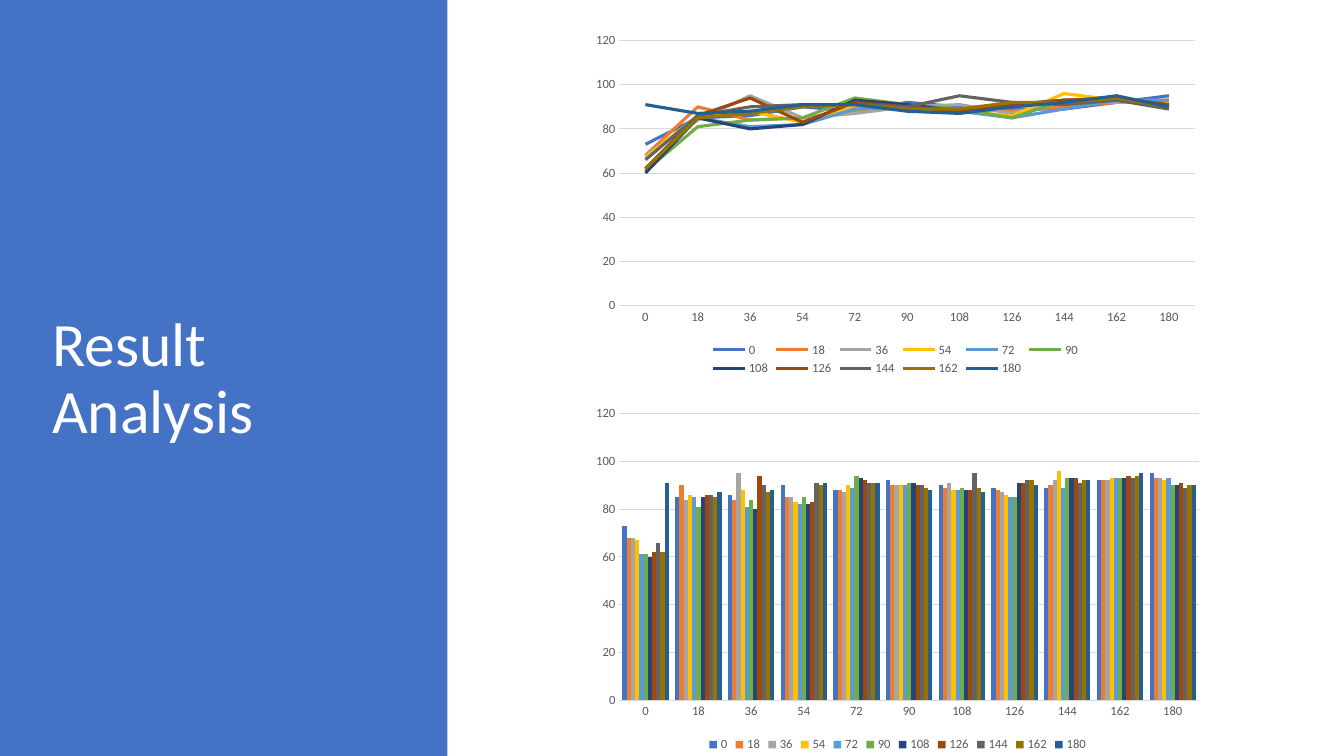
from pptx import Presentation
from pptx.chart.data import CategoryChartData
from pptx.dml.color import RGBColor
from pptx.enum.chart import XL_CHART_TYPE, XL_LEGEND_POSITION, XL_TICK_MARK
from pptx.enum.shapes import MSO_SHAPE
from pptx.enum.text import MSO_ANCHOR, PP_ALIGN
from pptx.util import Pt

LINE = XL_CHART_TYPE.LINE
COLUMNS = XL_CHART_TYPE.COLUMN_CLUSTERED
BOTTOM = XL_LEGEND_POSITION.BOTTOM
NO_TICK = XL_TICK_MARK.NONE
RECTANGLE = MSO_SHAPE.RECTANGLE
MIDDLE = MSO_ANCHOR.MIDDLE
LEFT = PP_ALIGN.LEFT

BLUE = RGBColor(0x44, 0x72, 0xC4)
WHITE = RGBColor(0xFF, 0xFF, 0xFF)
BLACK = RGBColor(0x00, 0x00, 0x00)
GRAY_TEXT = RGBColor(0x59, 0x59, 0x59)
GRID_GRAY = RGBColor(0xD9, 0xD9, 0xD9)
SERIES_COLORS = [
    BLUE,
    RGBColor(0xED, 0x7D, 0x31),
    RGBColor(0xA5, 0xA5, 0xA5),
    RGBColor(0xFF, 0xC0, 0x00),
    RGBColor(0x5B, 0x9B, 0xD5),
    RGBColor(0x70, 0xAD, 0x47),
    RGBColor(0x26, 0x44, 0x78),
    RGBColor(0x9E, 0x48, 0x0E),
    RGBColor(0x63, 0x63, 0x63),
    RGBColor(0x99, 0x73, 0x00),
    RGBColor(0x25, 0x5E, 0x91),
]

ANGLES = [str(angle) for angle in range(0, 181, 18)]
RESULTS = [
    [73, 85, 86, 90, 88, 92, 90, 89, 89, 92, 95],
    [68, 90, 84, 85, 88, 90, 89, 88, 90, 92, 93],
    [68, 84, 95, 85, 87, 90, 91, 87, 92, 92, 93],
    [67, 86, 88, 83, 90, 90, 88, 86, 96, 93, 92],
    [61, 85, 81, 82, 89, 90, 88, 85, 89, 93, 93],
    [61, 81, 84, 85, 94, 91, 89, 85, 93, 93, 90],
    [60, 85, 80, 82, 93, 91, 88, 91, 93, 93, 90],
    [62, 86, 94, 83, 92, 90, 88, 91, 93, 94, 91],
    [66, 86, 90, 91, 91, 90, 95, 92, 91, 93, 89],
    [62, 85, 87, 90, 91, 89, 89, 92, 92, 94, 90],
    [91, 87, 88, 91, 91, 88, 87, 90, 92, 95, 90],
]


def set_font(font, size, color, name):
    font.size = Pt(size)
    font.color.rgb = color
    font.name = name


def add_text(frame, text, *, size, color, font, align=LEFT, spacing=1.0):
    para = frame.paragraphs[0]
    para.alignment = align
    para.line_spacing = spacing
    span = para.add_run()
    span.text = text
    set_font(span.font, size, color, font)


class SlideBuilder:
    """Holds the slide and the style its elements share."""

    font = "Calibri"
    title_size = 44
    label_size = 9
    grid_width = 0.75
    series_width = 2.25

    def __init__(self, page):
        self.page = page

    def panel(self, left, top, width, height, color):
        shape = self.page.shapes.add_shape(
            RECTANGLE, Pt(left), Pt(top), Pt(width), Pt(height))
        shape.shadow.inherit = False
        shape.fill.solid()
        shape.fill.fore_color.rgb = color
        shape.line.fill.background()

    def title(self, left, top, width, height, text):
        box = self.page.shapes.add_textbox(
            Pt(left), Pt(top), Pt(width), Pt(height))
        frame = box.text_frame
        frame.word_wrap = True
        frame.vertical_anchor = MIDDLE
        add_text(frame, text, size=self.title_size, color=WHITE,
                 font=self.font, spacing=0.9)

    def chart(self, left, top, width, height, kind):
        data = CategoryChartData()
        data.categories = ANGLES
        for angle, values in zip(ANGLES, RESULTS):
            data.add_series(angle, values)
        chart = self.page.shapes.add_chart(
            kind, Pt(left), Pt(top), Pt(width), Pt(height), data).chart
        chart.has_title = False
        set_font(chart.font, 10, BLACK, self.font)
        self.legend(chart)
        self.axes(chart)
        plot = chart.plots[0]
        plot.vary_by_categories = False
        if kind == COLUMNS:
            plot.gap_width = 150
        for series, color in zip(plot.series, SERIES_COLORS):
            if kind == LINE:
                series.smooth = False
                self.stroke(series.format.line, color, self.series_width)
            else:
                series.format.fill.solid()
                series.format.fill.fore_color.rgb = color

    def legend(self, chart):
        chart.has_legend = True
        chart.legend.position = BOTTOM
        chart.legend.include_in_layout = False
        set_font(chart.legend.font, self.label_size, GRAY_TEXT, self.font)

    def axes(self, chart):
        for axis in (chart.category_axis, chart.value_axis):
            axis.major_tick_mark = NO_TICK
            axis.minor_tick_mark = NO_TICK
            set_font(axis.tick_labels.font, self.label_size, GRAY_TEXT,
                     self.font)
        self.stroke(chart.category_axis.format.line, GRID_GRAY,
                    self.grid_width)
        scale = chart.value_axis
        scale.minimum_scale, scale.maximum_scale = 0, 120
        scale.major_unit = 20
        scale.format.line.fill.background()
        scale.has_major_gridlines = True
        self.stroke(scale.major_gridlines.format.line, GRID_GRAY,
                    self.grid_width)

    def stroke(self, line, color, width):
        line.color.rgb = color
        line.width = Pt(width)


def main():
    deck = Presentation()
    deck.slide_width, deck.slide_height = Pt(960), Pt(540)
    blank = deck.slide_layouts[6]
    builder = SlideBuilder(deck.slides.add_slide(blank))
    builder.panel(0, 0, 319.7, 540, BLUE)
    builder.title(30.2, 50.4, 264.2, 442, "Result Analysis")
    builder.chart(416.9, 18.7, 445.7, 252.7, LINE)
    builder.chart(416.9, 285.1, 448.6, 254.9, COLUMNS)
    deck.save("out.pptx")


if __name__ == "__main__":
    main()
